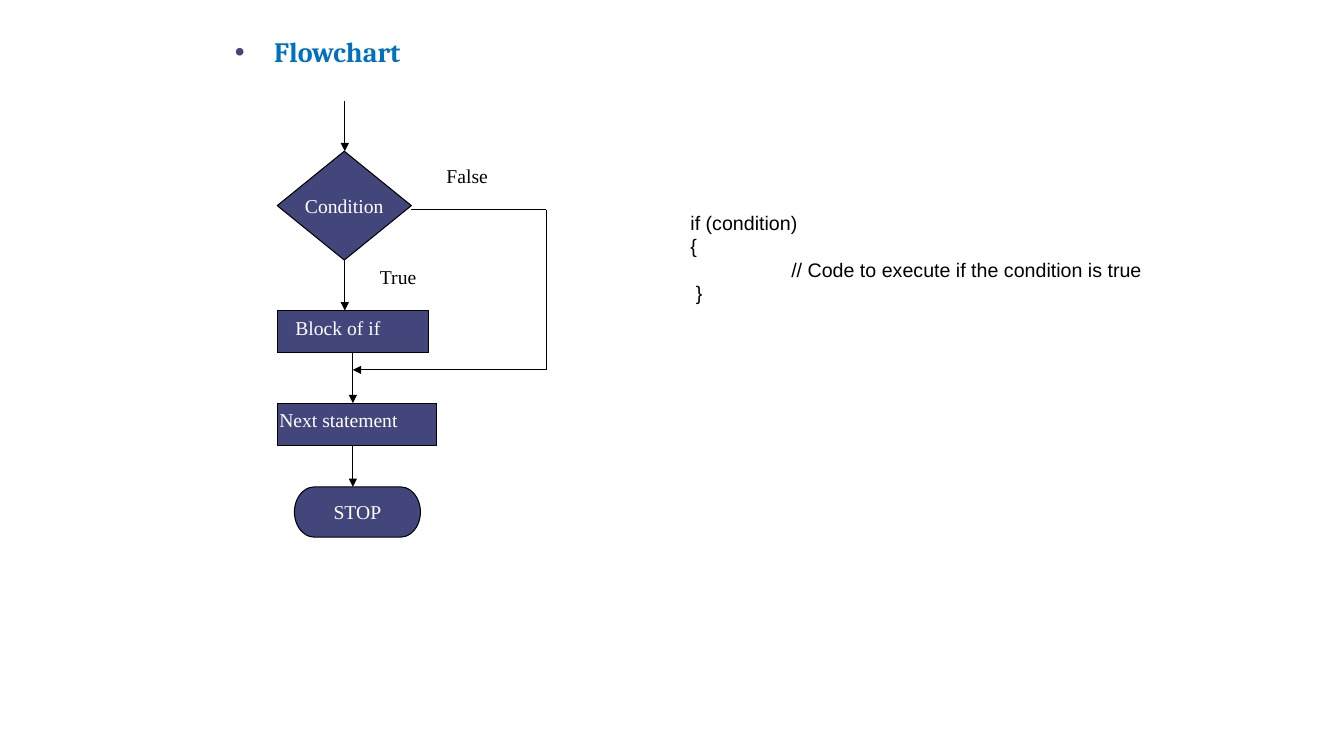
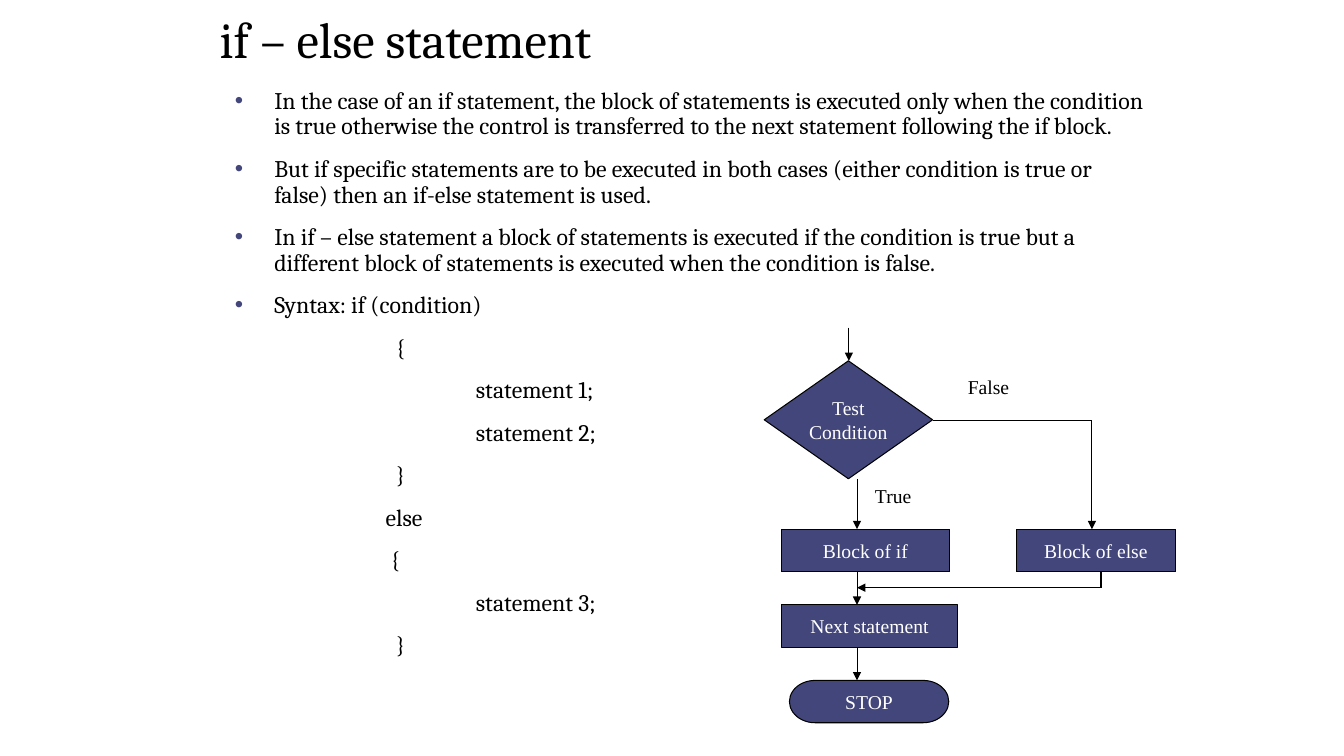
from dataclasses import dataclass
from typing import Any

import lxml.etree
import pptx
import pptx.dml.color
import pptx.enum.shapes
import pptx.enum.text
import pptx.oxml.ns
import pptx.util

Inches = pptx.util.Inches
Pt = pptx.util.Pt
Shapes = pptx.enum.shapes.MSO_SHAPE
Anchor = pptx.enum.text.MSO_ANCHOR
Align = pptx.enum.text.PP_ALIGN
qn = pptx.oxml.ns.qn

INDIGO = pptx.dml.color.RGBColor(0x43, 0x46, 0x7B)
BLUE = pptx.dml.color.RGBColor(0x00, 0x70, 0xC0)
BLACK = pptx.dml.color.RGBColor(0x00, 0x00, 0x00)
WHITE = pptx.dml.color.RGBColor(0xFF, 0xFF, 0xFF)

TITLE_FONT = {"name": "Cambria", "size": Pt(36), "bold": False}
HEADING_FONT = {"name": "Cambria", "size": Pt(20), "bold": True}
BODY_FONT = {"name": "Cambria", "size": Pt(17), "bold": False}
FLOW_FONT = {"name": "Times New Roman", "size": Pt(14), "bold": False}
CODE_FONT = {"name": "Arial", "size": Pt(14), "bold": False}

TITLE_FRAME = {"vertical_anchor": Anchor.MIDDLE, "word_wrap": True}
BODY_FRAME = {
    "word_wrap": True,
    "margin_left": Inches(0.05),
    "margin_right": Inches(0.05),
}
LABEL_FRAME = {"word_wrap": True}
CENTRED_FRAME = {"vertical_anchor": Anchor.MIDDLE, "word_wrap": False}
TIGHT_LINES = {"line_spacing": 0.9}
SPACED_LINES = {"line_spacing": 0.9, "space_before": Pt(12)}

Point = tuple[float, float]
Box = tuple[float, float, float, float]


@dataclass(frozen=True)
class Line:
    text: str
    indent: float = 0
    bullet: bool = False


@dataclass(frozen=True)
class Step:
    text: str
    box: Box
    outline: Any
    left_inset: float | None = None


@dataclass(frozen=True)
class Flow:
    points: tuple[Point, ...]
    arrow: bool = True


@dataclass(frozen=True)
class Label:
    text: str
    box: Box


@dataclass(frozen=True)
class Flowchart:
    steps: tuple[Step, ...]
    flows: tuple[Flow, ...]
    labels: tuple[Label, ...]


def apply_format(target: Any, values: dict[str, Any]) -> None:
    for attribute, value in values.items():
        setattr(target, attribute, value)


def add_bullet(properties: Any) -> None:
    colour = lxml.etree.SubElement(properties, qn("a:buClr"))
    lxml.etree.SubElement(colour, qn("a:srgbClr"), val=str(INDIGO))
    lxml.etree.SubElement(properties, qn("a:buFont"), typeface="Arial")
    lxml.etree.SubElement(properties, qn("a:buChar"), char="•")


def write_lines(frame: Any, lines: list[Line], font: dict[str, Any],
                colour: Any, spacing: dict[str, Any]) -> None:
    for number, line in enumerate(lines):
        paragraph = frame.add_paragraph() if number else frame.paragraphs[0]
        properties = paragraph._p.get_or_add_pPr()
        if line.indent:
            properties.set("marL", str(Inches(line.indent)))
            properties.set("indent", str(Inches(-0.39 if line.bullet else 0)))
        if line.bullet:
            add_bullet(properties)
        apply_format(paragraph, spacing)
        if not number:
            paragraph.space_before = Pt(0)
        run = paragraph.add_run()
        run.text = line.text
        apply_format(run.font, font)
        run.font.color.rgb = colour


def add_text(slide: Any, box: Box, lines: list[Line], font: dict[str, Any],
             frame_format: dict[str, Any], colour: Any = BLACK,
             spacing: dict[str, Any] = {}) -> None:
    frame = slide.shapes.add_textbox(*map(Inches, box)).text_frame
    apply_format(frame, frame_format)
    write_lines(frame, lines, font, colour, spacing)


def draw_step(slide: Any, step: Step) -> None:
    block = slide.shapes.add_shape(step.outline, *map(Inches, step.box))
    block.shadow.inherit = False
    block.fill.solid()
    block.fill.fore_color.rgb = INDIGO
    block.line.color.rgb = BLACK
    block.line.width = Pt(0.75)
    frame_format, alignment = CENTRED_FRAME, Align.CENTER
    if step.left_inset is not None:
        alignment = Align.LEFT
        frame_format = {
            "vertical_anchor": Anchor.TOP,
            "word_wrap": True,
            "margin_left": Inches(step.left_inset),
            "margin_right": Inches(0.05),
        }
    apply_format(block.text_frame, frame_format)
    write_lines(block.text_frame, [Line(text) for text in step.text.split("\n")],
                FLOW_FONT, WHITE, {"alignment": alignment})


def draw_flow(slide: Any, flow: Flow) -> None:
    last = len(flow.points) - 2
    for number, (start, end) in enumerate(zip(flow.points, flow.points[1:])):
        segment = slide.shapes.add_connector(
            pptx.enum.shapes.MSO_CONNECTOR.STRAIGHT, *map(Inches, start + end))
        segment.line.color.rgb = BLACK
        segment.line.width = Pt(0.75)
        if flow.arrow and number == last:
            lxml.etree.SubElement(segment.line._get_or_add_ln(), qn("a:tailEnd"),
                                  type="triangle")
        lxml.etree.SubElement(segment._element.spPr, qn("a:effectLst"))


def draw_flowchart(slide: Any, chart: Flowchart) -> None:
    for step in chart.steps:
        draw_step(slide, step)
    for flow in chart.flows:
        draw_flow(slide, flow)
    for label in chart.labels:
        add_text(slide, label.box, [Line(label.text)], FLOW_FONT, LABEL_FRAME)


IF_CHART = Flowchart(
    steps=(
        Step("Condition", (2.75, 1.5, 1.33, 1.08), Shapes.FLOWCHART_DECISION),
        Step("Block of if", (2.75, 3.08, 1.5, 0.42), Shapes.RECTANGLE, 0.18),
        Step("Next statement", (2.75, 4, 1.58, 0.42), Shapes.RECTANGLE, 0.02),
        Step("STOP", (2.92, 4.83, 1.25, 0.5), Shapes.FLOWCHART_TERMINATOR),
    ),
    flows=(
        Flow(((3.42, 1), (3.42, 1.5))),
        Flow(((3.42, 2.58), (3.42, 3.08))),
        Flow(((3.5, 3.5), (3.5, 4))),
        Flow(((3.5, 4.42), (3.5, 4.83))),
        Flow(((4.08, 2.08), (5.42, 2.08), (5.42, 3.67), (3.5, 3.67))),
    ),
    labels=(
        Label("False", (4.33, 1.58, 0.92, 0.34)),
        Label("True", (3.67, 2.58, 1.17, 0.34)),
    ),
)

IF_ELSE_CHART = Flowchart(
    steps=(
        Step("Test\nCondition", (7.58, 3.58, 1.67, 1.17), Shapes.FLOWCHART_DECISION),
        Step("Block of if", (7.75, 5.25, 1.67, 0.42), Shapes.FLOWCHART_PROCESS),
        Step("Block of else", (10.08, 5.25, 1.58, 0.42), Shapes.FLOWCHART_PROCESS),
        Step("Next statement", (7.75, 6, 1.75, 0.42), Shapes.FLOWCHART_PROCESS),
        Step("STOP", (7.83, 6.75, 1.58, 0.42), Shapes.FLOWCHART_TERMINATOR),
    ),
    flows=(
        Flow(((8.42, 3.25), (8.42, 3.58))),
        Flow(((8.5, 4.75), (8.5, 5.25))),
        Flow(((8.5, 5.67), (8.5, 6))),
        Flow(((8.5, 6.42), (8.5, 6.75))),
        Flow(((9.25, 4.17), (10.83, 4.17), (10.83, 5.25))),
        Flow(((10.92, 5.67), (10.92, 5.83), (8.5, 5.83))),
    ),
    labels=(
        Label("False", (9.5, 3.67, 1.92, 0.34)),
        Label("True", (8.58, 4.75, 1.33, 0.34)),
    ),
)

IF_CODE = [
    Line("if (condition)"),
    Line("{"),
    Line("// Code to execute if the condition is true", 1),
    Line(" }"),
]

IF_ELSE_POINTS = [
    Line(text, 0.5, True) for text in (
        "In the case of an if statement, the block of statements is executed only "
        "when the condition is true otherwise the control is transferred to the "
        "next statement following the if block.",
        "But if specific statements are to be executed in both cases (either "
        "condition is true or false) then an if-else statement is used.",
        "In if – else statement a block of statements is executed if the condition "
        "is true but a different block of statements is executed when the "
        "condition is false.",
        "Syntax: if (condition)",
    )
]

IF_ELSE_SYNTAX = [
    Line("    {", 1.5),
    Line("statement 1;", 2.5),
    Line("statement 2;", 2.5),
    Line("    }", 1.5),
    Line("  else", 1.5),
    Line("   {", 1.5),
    Line("statement 3;", 2.5),
    Line("    }", 1.5),
]


def build_if_slide(slide: Any) -> None:
    add_text(slide, (2.17, 0.33, 9, 0.5), [Line("Flowchart", 0.5, True)],
             HEADING_FONT, BODY_FRAME, BLUE, SPACED_LINES)
    draw_flowchart(slide, IF_CHART)
    add_text(slide, (6.75, 2.04, 4.8, 1.04), IF_CODE, CODE_FONT, LABEL_FRAME)


def build_if_else_slide(slide: Any) -> None:
    add_text(slide, (2.08, 0, 9, 0.83), [Line("if – else statement")],
             TITLE_FONT, TITLE_FRAME, spacing=TIGHT_LINES)
    add_text(slide, (2.17, 0.83, 9.25, 6.42), IF_ELSE_POINTS + IF_ELSE_SYNTAX,
             BODY_FONT, BODY_FRAME, spacing=SPACED_LINES)
    draw_flowchart(slide, IF_ELSE_CHART)


def main() -> None:
    deck = pptx.Presentation()
    deck.slide_width = Inches(13.33)
    deck.slide_height = Inches(7.5)
    blank = deck.slide_layouts[6]
    for build in (build_if_slide, build_if_else_slide):
        build(deck.slides.add_slide(blank))
    deck.save("out.pptx")


if __name__ == "__main__":
    main()
